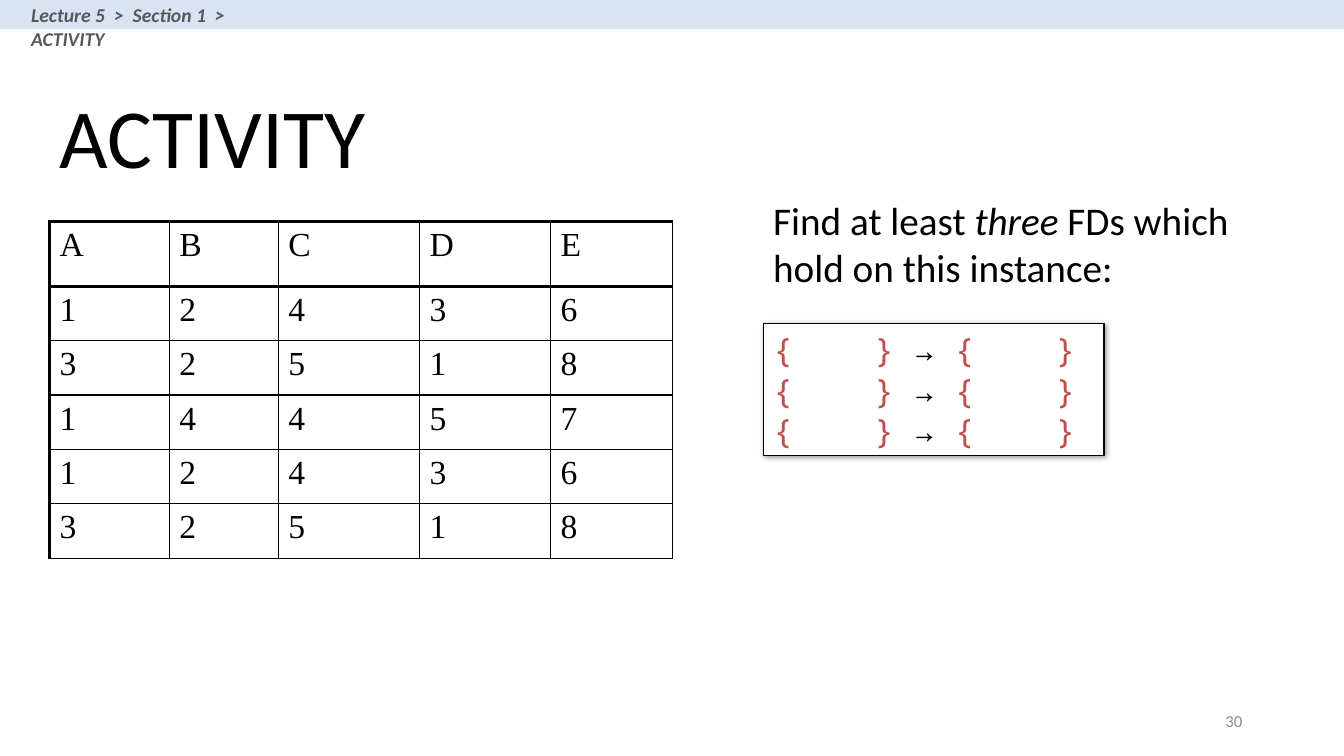
from lxml.etree import SubElement
from pptx import Presentation
from pptx.dml.color import RGBColor
from pptx.enum.shapes import MSO_SHAPE
from pptx.enum.text import MSO_ANCHOR, MSO_AUTO_SIZE, PP_ALIGN
from pptx.oxml import parse_xml
from pptx.oxml.ns import nsdecls, qn
from pptx.util import Inches, Pt

BLACK = "000000"
BRACE_RED = "C0504D"
INSTANCE = ["ABCDE", "12436", "32518", "14457", "12436", "32518"]
COLUMN_WIDTHS = [1.19, 1.08, 1.4, 1.3, 1.21]
HEADER_HEIGHT, ROW_HEIGHT = 0.64, 0.54
THIN, THICK = 1, 2.25


def color(hex_value):
    return RGBColor.from_string(hex_value)


class SlideBuilder:
    font_name = "Calibri"

    def __init__(self, presentation):
        self.slide = presentation.slides.add_slide(presentation.slide_layouts[5])

    def add_run(self, paragraph, text, size, hex_value=BLACK, font_name=None,
                bold=False, italic=False):
        run = paragraph.add_run()
        run.text = text
        font = run.font
        font.name = font_name or self.font_name
        font.size = Pt(size)
        font.bold, font.italic = bold, italic
        font.color.rgb = color(hex_value)

    def title(self, text, left, top, width, height):
        title = self.slide.shapes.title
        title.left, title.top = Inches(left), Inches(top)
        title.width, title.height = Inches(width), Inches(height)
        frame = title.text_frame
        frame.auto_size = MSO_AUTO_SIZE.NONE
        frame.vertical_anchor = MSO_ANCHOR.BOTTOM
        paragraph = frame.paragraphs[0]
        paragraph.alignment = PP_ALIGN.LEFT
        paragraph.line_spacing = 0.9
        self.add_run(paragraph, text, 60)

    def text(self, left, top, width, height, align=PP_ALIGN.LEFT, anchor=MSO_ANCHOR.TOP):
        """Add an empty text box and return its first paragraph."""
        box = self.slide.shapes.add_textbox(
            Inches(left), Inches(top), Inches(width), Inches(height))
        box.text_frame.word_wrap = True
        box.text_frame.vertical_anchor = anchor
        paragraph = box.text_frame.paragraphs[0]
        paragraph.alignment = align
        return paragraph

    def rectangle(self, left, top, width, height, fill, line=None):
        shape = self.slide.shapes.add_shape(
            MSO_SHAPE.RECTANGLE, Inches(left), Inches(top), Inches(width), Inches(height))
        shape.shadow.inherit = False
        shape.fill.solid()
        shape.fill.fore_color.rgb = color(fill)
        if line:
            shape.line.color.rgb = color(line)
            shape.line.width = Pt(0.75)
        else:
            shape.line.fill.background()
        return shape

    def drop_shadow(self, shape):
        effects = shape.element.spPr.find(qn("a:effectLst"))
        effects.append(parse_xml(
            f'<a:outerShdw {nsdecls("a")} blurRad="{Pt(4)}" dist="{Pt(1)}" dir="2700000" '
            f'algn="tl" rotWithShape="0"><a:srgbClr val="{BLACK}">'
            '<a:alpha val="40000"/></a:srgbClr></a:outerShdw>'))

    def tab_stops(self, paragraph, positions):
        tab_list = SubElement(paragraph._p.get_or_add_pPr(), qn("a:tabLst"))
        for position in positions:
            SubElement(tab_list, qn("a:tab"), pos=str(Inches(position)), algn="l")

    def cell_borders(self, cell, widths):
        """Draw black borders; widths holds points for left, right, top, bottom."""
        properties = cell._tc.get_or_add_tcPr()
        for index, (side, width) in enumerate(zip("LRTB", widths)):
            properties.insert(index, parse_xml(
                f'<a:ln{side} {nsdecls("a")} w="{Pt(width)}"><a:solidFill>'
                f'<a:srgbClr val="{BLACK}"/></a:solidFill></a:ln{side}>'))

    def table(self, left, top, rows):
        height = HEADER_HEIGHT + ROW_HEIGHT * (len(rows) - 1)
        table = self.slide.shapes.add_table(
            len(rows), len(COLUMN_WIDTHS), Inches(left), Inches(top),
            Inches(sum(COLUMN_WIDTHS)), Inches(height)).table
        table.first_row = table.horz_banding = False
        for column, width in zip(table.columns, COLUMN_WIDTHS):
            column.width = Inches(width)
        for row_index, values in enumerate(rows):
            table.rows[row_index].height = Inches(ROW_HEIGHT if row_index else HEADER_HEIGHT)
            for column_index, value in enumerate(values):
                cell = table.cell(row_index, column_index)
                cell.fill.background()
                paragraph = cell.text_frame.paragraphs[0]
                paragraph.space_before = Pt(4.8)
                self.add_run(paragraph, value, 24, font_name="Times New Roman")
                self.cell_borders(cell, [
                    THIN if column_index else THICK, THIN,
                    THICK if row_index < 2 else THIN,
                    THIN if row_index else THICK])

    def dependency_blanks(self, left, top, width, height, count):
        """Add the framed box with one empty dependency per line."""
        box = self.rectangle(left, top, width, height, "FFFFFF", BLACK)
        self.drop_shadow(box)
        frame = box.text_frame
        frame.word_wrap = True
        frame.vertical_anchor = MSO_ANCHOR.MIDDLE
        for index in range(count):
            paragraph = frame.add_paragraph() if index else frame.paragraphs[0]
            paragraph.alignment = PP_ALIGN.LEFT
            self.tab_stops(paragraph, [1.0, 2.8])
            for text, hex_value in [("{\t} ", BRACE_RED), ("→ ", BLACK), ("{\t}", BRACE_RED)]:
                self.add_run(paragraph, text, 24, hex_value, "Noto Sans Mono")


def main():
    presentation = Presentation()
    presentation.slide_width, presentation.slide_height = Inches(13.33), Inches(7.5)
    builder = SlideBuilder(presentation)

    builder.title("ACTIVITY", 0.49, 0.77, 11.5, 1.13)
    page_number = builder.text(9.42, 6.95, 3, 0.4, PP_ALIGN.RIGHT, MSO_ANCHOR.MIDDLE)
    builder.add_run(page_number, "30", 12, "8C8C8C")

    builder.rectangle(0, 0, 13.33, 0.29, "DAE3F3")
    breadcrumb = builder.text(0.21, -0.02, 2.89, 0.34)
    builder.add_run(breadcrumb, "Lecture 5  >  Section 1  >  ACTIVITY", 14, "595959",
                    bold=True, italic=True)

    builder.table(0.49, 2.2, INSTANCE)

    task = builder.text(7.57, 1.9, 5.06, 1.04)
    for text, italic in [("Find at least ", False), ("three", True),
                         (" FDs which hold on this instance:", False)]:
        builder.add_run(task, text, 28, italic=italic)
    builder.dependency_blanks(7.57, 3.21, 3.38, 1.31, 3)

    presentation.save("out.pptx")


if __name__ == "__main__":
    main()
